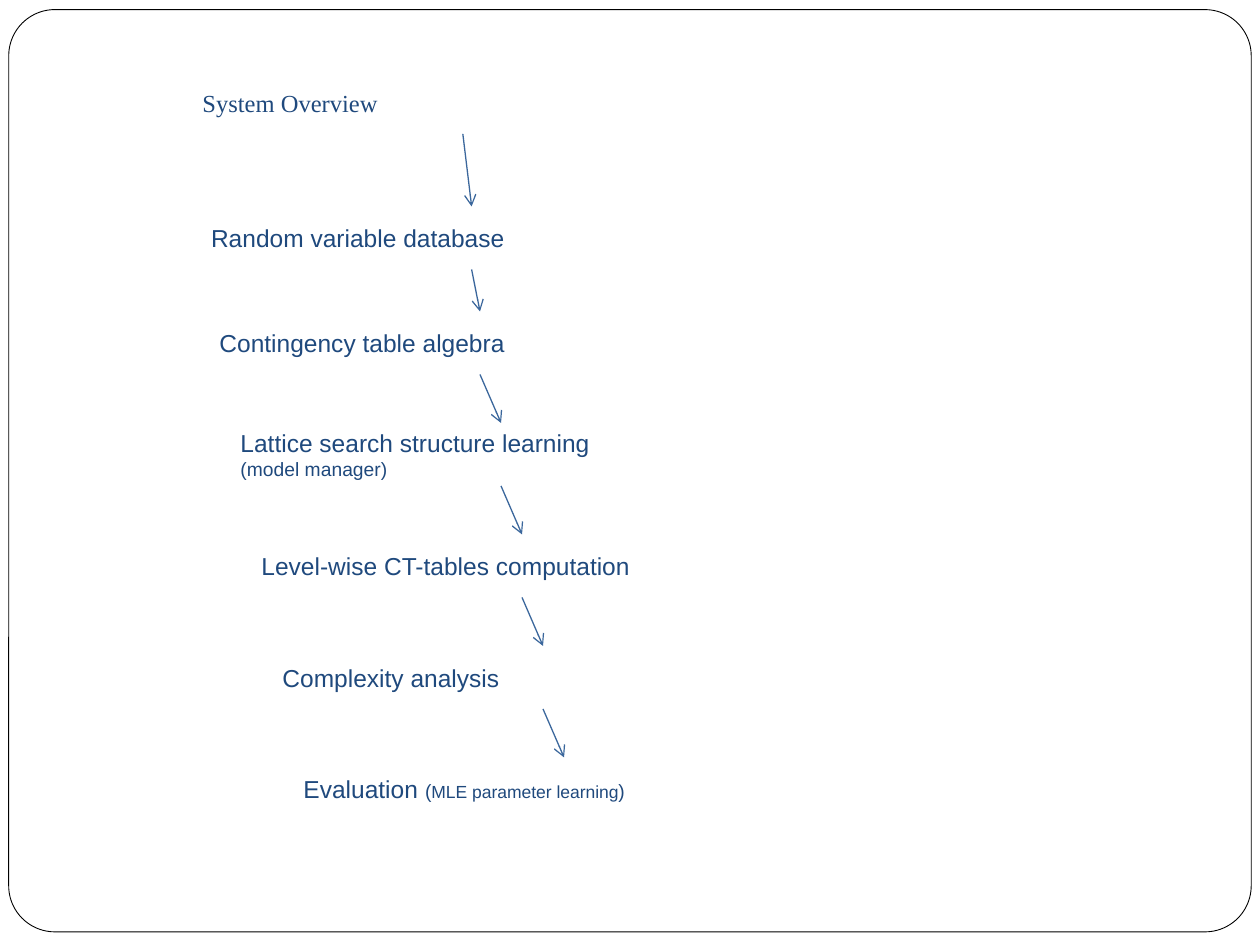
from lxml.etree import SubElement
from pptx import Presentation
from pptx.dml.color import RGBColor
from pptx.enum.shapes import MSO_CONNECTOR, MSO_SHAPE
from pptx.enum.text import MSO_ANCHOR, MSO_AUTO_SIZE, PP_ALIGN
from pptx.oxml.ns import qn
from pptx.util import Pt

COLORS = {"text": "1F497D", "arrow": "3B679C", "frame": "000000", "paper": "FFFFFF"}
STEP_WIDTH, STEP_HEIGHT = 312, 36


def rgb(name):
    return RGBColor.from_string(COLORS[name])


class OverviewSlide:
    body_font = "Arial"
    title_font = "Times New Roman"

    def __init__(self, deck):
        self.slide = deck.slides.add_slide(deck.slide_layouts[5])

    def frame(self, left, top, width, height):
        border = self.slide.shapes.add_shape(
            MSO_SHAPE.ROUNDED_RECTANGLE, Pt(left), Pt(top), Pt(width), Pt(height))
        border.adjustments[0] = 0.05
        border.shadow.inherit = False
        border.fill.solid()
        border.fill.fore_color.rgb = rgb("paper")
        border.line.color.rgb = rgb("frame")
        border.line.width = Pt(0.5)
        # Keep the frame behind the title
        self.slide.shapes.title.element.addprevious(border.element)

    def set_text(self, holder, lines, font):
        """Each line is a list of (text, size) runs."""
        text_frame = holder.text_frame
        text_frame.word_wrap = True
        text_frame.auto_size = MSO_AUTO_SIZE.NONE
        text_frame.vertical_anchor = MSO_ANCHOR.MIDDLE
        for index, line in enumerate(lines):
            paragraph = text_frame.add_paragraph() if index else text_frame.paragraphs[0]
            paragraph.alignment = PP_ALIGN.LEFT
            paragraph.font.name = font
            paragraph.font.color.rgb = rgb("text")
            paragraph.font.size = Pt(line[0][1])
            for text, size in line:
                run = paragraph.add_run()
                run.text = text
                if size != line[0][1]:
                    run.font.size = Pt(size)

    def title(self, left, top, lines):
        heading = self.slide.shapes.title
        heading.left, heading.top = Pt(left), Pt(top)
        heading.width, heading.height = Pt(STEP_WIDTH), Pt(STEP_HEIGHT)
        self.set_text(heading, lines, self.title_font)

    def step(self, left, top, lines):
        label = self.slide.shapes.add_textbox(
            Pt(left), Pt(top), Pt(STEP_WIDTH), Pt(STEP_HEIGHT))
        self.set_text(label, lines, self.body_font)

    def arrow(self, start, end):
        link = self.slide.shapes.add_connector(
            MSO_CONNECTOR.STRAIGHT, *(Pt(value) for value in (*start, *end)))
        link.line.color.rgb = rgb("arrow")
        link.line.width = Pt(0.75)
        properties = link.element.spPr
        SubElement(properties.find(qn("a:ln")), qn("a:tailEnd"), type="arrow")
        SubElement(properties, qn("a:effectLst"))


def main():
    deck = Presentation()
    deck.slide_width, deck.slide_height = Pt(720), Pt(540)
    overview = OverviewSlide(deck)
    overview.frame(5, 5.5, 710, 527)

    # Steps of the system; from the third on they descend evenly
    steps = [
        [[("System Overview", 14)]],
        [[("Random variable database", 14)]],
        [[("Contingency table algebra", 14)]],
        [[("Lattice search structure learning", 14)], [("(model manager)", 11)]],
        [[("Level-wise CT-tables computation", 14)]],
        [[("Complexity analysis", 14)]],
        [[("Evaluation ", 14), ("(", 11), ("MLE parameter learning", 10), (")", 11)]],
    ]
    places = [(108.5, 40.5), (113.5, 118)]
    places += [(118.3 + 12 * i, 178 + 63.7 * i) for i in range(len(steps) - 2)]

    overview.title(*places[0], steps[0])
    for place, lines in zip(places[1:], steps[1:]):
        overview.step(*place, lines)

    # Arrows from the bottom centre of each step to the top centre of the next
    for (left, top), (next_left, next_top) in zip(places, places[1:]):
        overview.arrow((left + STEP_WIDTH / 2, top + STEP_HEIGHT),
                       (next_left + STEP_WIDTH / 2, next_top))

    deck.save("out.pptx")


if __name__ == "__main__":
    main()
